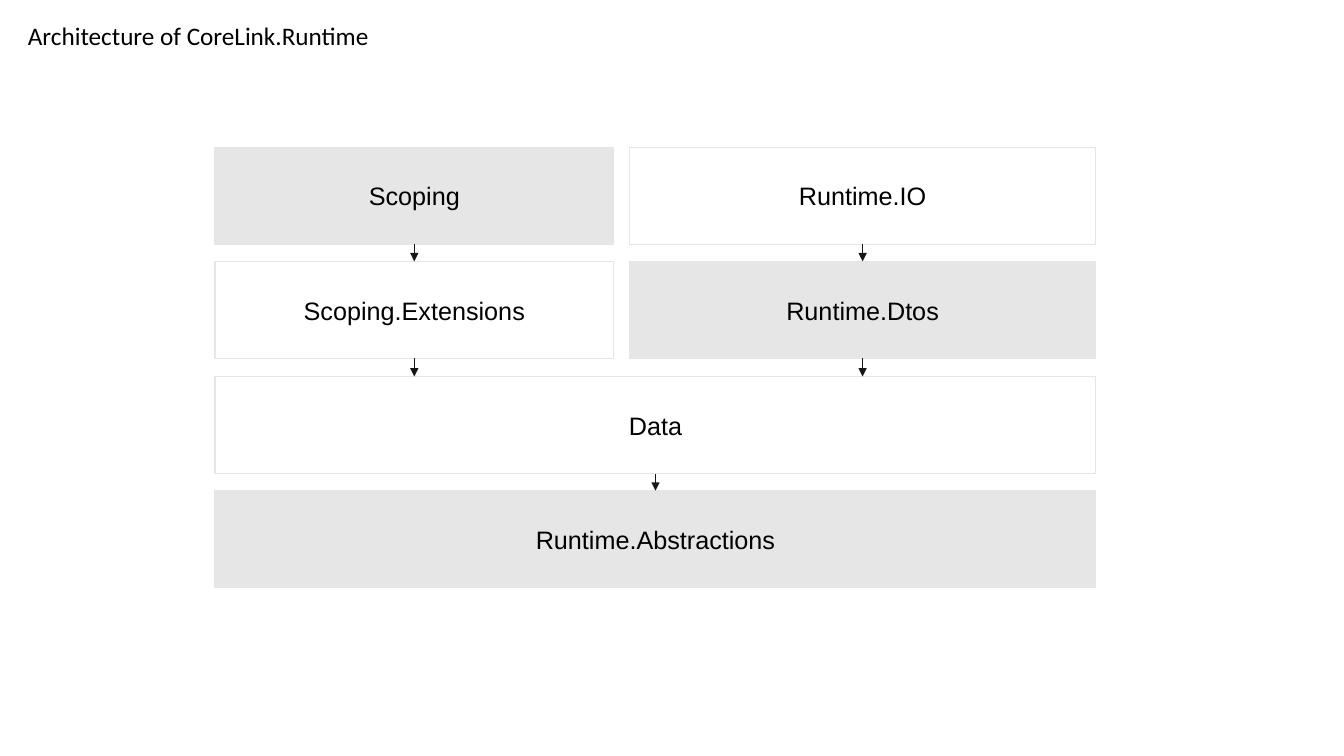
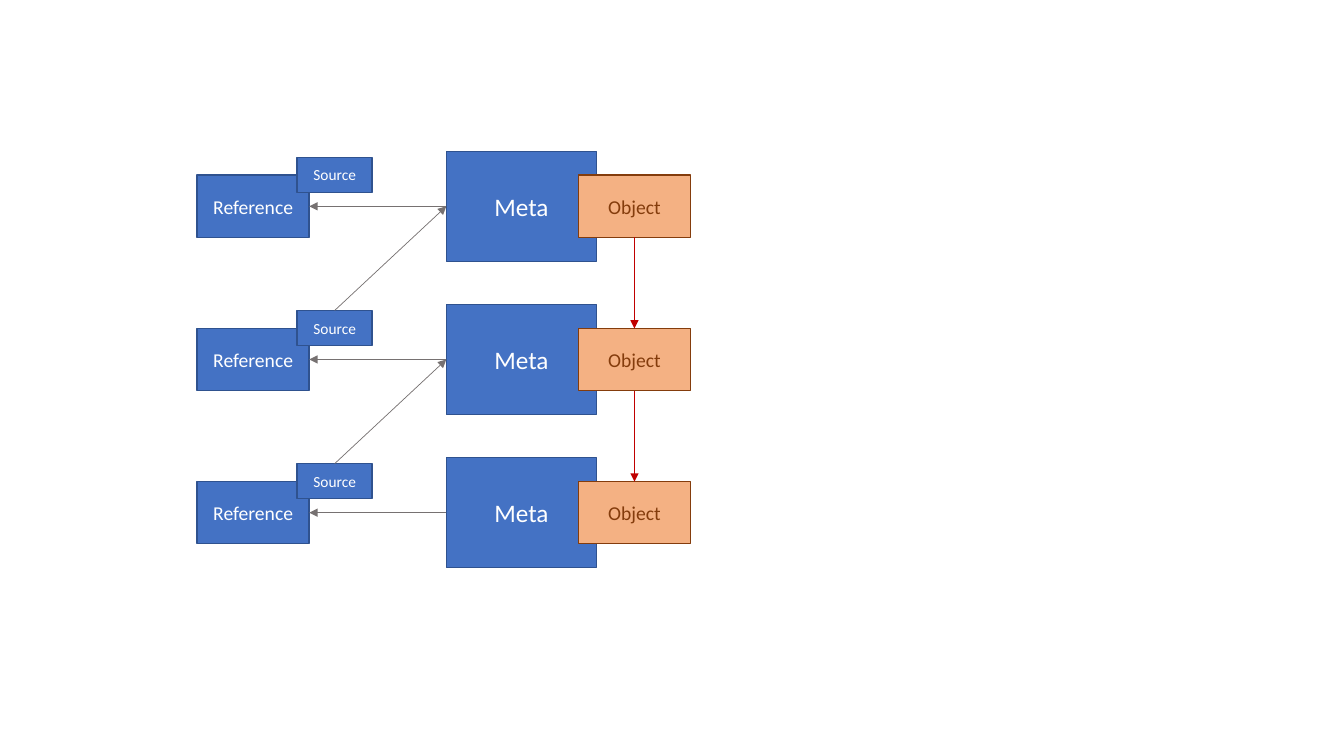
"""Builds two slides of box-and-arrow diagrams: a layered architecture and a reference chain."""
from lxml.etree import SubElement
from pptx import Presentation
from pptx.dml.color import RGBColor
from pptx.enum.dml import MSO_LINE
from pptx.enum.shapes import MSO_CONNECTOR as CONNECTOR, MSO_SHAPE as SHAPE
from pptx.enum.text import MSO_ANCHOR as ANCHOR, MSO_AUTO_SIZE as AUTO_SIZE, PP_ALIGN as ALIGN
from pptx.oxml.ns import qn
from pptx.util import Pt

SCALE = 914400 / 100.7
COLORS = {
    "black": "000000", "white": "FFFFFF", "gray": "E7E6E6", "ink": "181717",
    "blue": "4472C4", "navy": "2F528F", "orange": "F4B183", "brown": "843C0C",
    "slate": "767171", "red": "C00000",
}
# Each style is fill, outline, text colour and font.
STYLES = {
    "shaded": ("gray", "gray", "black", "Arial"),
    "plain": ("white", "gray", "black", "Arial"),
    "node": ("blue", "navy", "white", "Calibri"),
    "object": ("orange", "brown", "brown", "Calibri"),
}


def emu(pixels):
    """Turn pixels into EMU."""
    return round(pixels * SCALE)


def color(name):
    """Look up a named colour."""
    return RGBColor.from_string(COLORS[name])


def write(frame, text, font_name, size, ink):
    """Put one line of text into a frame and return its paragraph."""
    line = frame.paragraphs[0]
    line.text = text
    line.font.name = font_name
    line.font.size = Pt(size)
    line.font.color.rgb = color(ink)
    return line


def add_title(slide, text):
    """Add the slide title at the top left."""
    frame = slide.shapes.add_textbox(*map(emu, (18, 15, 375, 40))).text_frame
    frame.word_wrap = False
    frame.auto_size = AUTO_SIZE.SHAPE_TO_FIT_TEXT
    write(frame, text, "Calibri", 18, "black")


def add_box(slide, text, left, top, width, height, style, size=18):
    """Add a rectangle with a centred label."""
    fill, outline, ink, font_name = STYLES[style]
    box = slide.shapes.add_shape(SHAPE.RECTANGLE, *map(emu, (left, top, width, height)))
    box.shadow.inherit = False
    box.fill.solid()
    box.fill.fore_color.rgb = color(fill)
    box.line.color.rgb = color(outline)
    box.line.width = Pt(1)
    frame = box.text_frame
    frame.word_wrap = True
    frame.vertical_anchor = ANCHOR.MIDDLE
    write(frame, text, font_name, size, ink).alignment = ALIGN.CENTER


def add_arrow(slide, start_x, start_y, end_x, end_y, ink):
    """Add a thin straight arrow."""
    arrow = slide.shapes.add_connector(
        CONNECTOR.STRAIGHT, *map(emu, (start_x, start_y, end_x, end_y)))
    arrow.line.color.rgb = color(ink)
    arrow.line.width = Pt(0.5)
    arrow.line.dash_style = MSO_LINE.SOLID
    properties = arrow._element.spPr
    SubElement(properties.find(qn("a:ln")), qn("a:tailEnd"), type="triangle")
    SubElement(properties, qn("a:effectLst"))


def build_architecture(slide):
    """Draw the layers of the runtime and their dependencies."""
    add_title(slide, "Architecture of CoreLink.Runtime")
    height = 97
    tops = [147 + 229 * row // 2 for row in range(4)]
    scoping, runtime, full = (215, 398), (629, 466), (215, 880)
    layers = [
        ("Scoping", 0, scoping, "shaded"),
        ("Runtime.IO", 0, runtime, "plain"),
        ("Scoping.Extensions", 1, scoping, "plain"),
        ("Runtime.Dtos", 1, runtime, "shaded"),
        ("Data", 2, full, "plain"),
        ("Runtime.Abstractions", 3, full, "shaded"),
    ]
    for text, row, (left, width), style in layers:
        add_box(slide, text, left, tops[row], width, height, style)
    for _, row, (left, width), _ in layers[:-1]:
        center = left + width / 2
        add_arrow(slide, center, tops[row] + height, center, tops[row + 1], "ink")


def build_reference_chain(slide):
    """Draw three rows of reference, source, meta and object."""
    step, half_object = 153, 31
    reference_left, meta_left, object_left, small_width = 197, 446, 578, 112
    source_left, source_width, source_rise = 297, 75, 49
    for row in range(3):
        middle = 206 + step * row
        small_top = middle - half_object
        source_top = middle - source_rise
        add_box(slide, "Meta", meta_left, middle - 55, 150, 110, "node")
        add_box(slide, "Reference", reference_left, small_top, small_width,
                2 * half_object, "node", 14)
        add_box(slide, "Object", object_left, small_top, small_width,
                2 * half_object, "object", 14)
        add_box(slide, "Source", source_left, source_top, source_width, 35, "node", 11)
        add_arrow(slide, meta_left, middle, reference_left + small_width, middle, "slate")
        if row:
            add_arrow(slide, source_left + source_width / 2, source_top,
                      meta_left, middle - step, "slate")
            object_center = object_left + small_width / 2
            add_arrow(slide, object_center, small_top - step + 2 * half_object,
                      object_center, small_top, "red")


def main():
    """Build and save the presentation."""
    deck = Presentation()
    deck.slide_width, deck.slide_height = emu(1343), emu(755)
    for build in (build_architecture, build_reference_chain):
        build(deck.slides.add_slide(deck.slide_layouts[6]))
    deck.save("out.pptx")


main()
